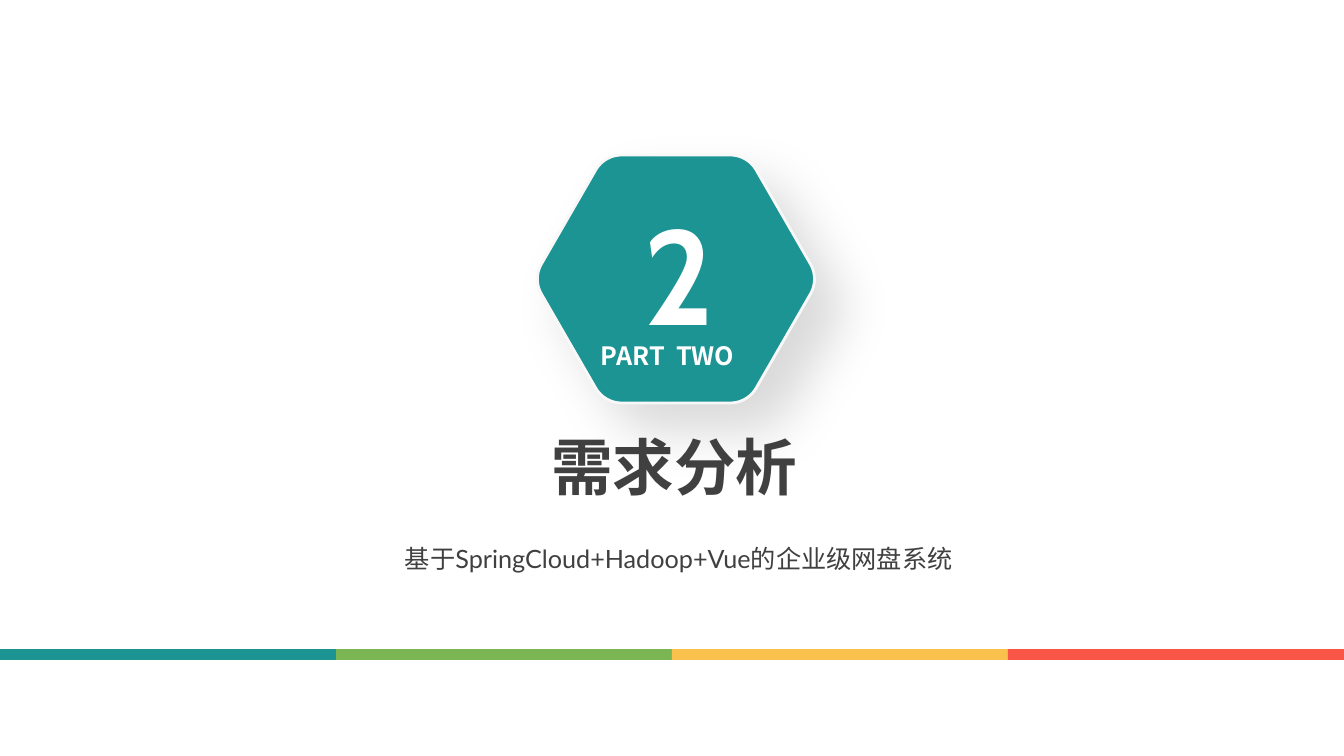
from math import cos, pi, sin

from lxml import etree
from pptx import Presentation
from pptx.dml.color import RGBColor
from pptx.enum.shapes import MSO_SHAPE
from pptx.enum.text import MSO_ANCHOR, MSO_AUTO_SIZE, PP_ALIGN
from pptx.oxml.ns import qn
from pptx.util import Pt

RECTANGLE = MSO_SHAPE.RECTANGLE
TOP = MSO_ANCHOR.TOP
LEFT = PP_ALIGN.LEFT
NO_RESIZE, GROW = MSO_AUTO_SIZE.NONE, MSO_AUTO_SIZE.SHAPE_TO_FIT_TEXT

TEAL = RGBColor(0x1C, 0x94, 0x94)
GREEN = RGBColor(0x7C, 0xB5, 0x54)
YELLOW = RGBColor(0xFA, 0xC1, 0x4D)
RED = RGBColor(0xF9, 0x56, 0x47)
WHITE = RGBColor(0xFF, 0xFF, 0xFF)
EDGE = RGBColor(0xF8, 0xF8, 0xF8)
DARK = RGBColor(0x40, 0x40, 0x40)

SLIDE_WIDTH, SLIDE_HEIGHT = 1344, 756
CJK_FONT = "Noto Sans CJK SC"


def px(length):
    return round(length * 12192000 / SLIDE_WIDTH)


class SectionSlide:
    def __init__(self, presentation):
        self.slide = presentation.slides.add_slide(presentation.slide_layouts[5])
        self.shapes = self.slide.shapes

    def fill_text(self, shape, runs, size, color, font=CJK_FONT, bold=True):
        """Fill a shape with one paragraph of (text, letter spacing) runs."""
        frame = shape.text_frame
        settings = {"word_wrap": False, "auto_size": GROW, "vertical_anchor": TOP}
        for name, value in settings.items():
            setattr(frame, name, value)
        paragraph = frame.paragraphs[0]
        paragraph.alignment = LEFT
        for text, spacing in runs:
            run = paragraph.add_run()
            run.text = text
            formats = {"size": Pt(size), "bold": bold, "name": font}
            for name, value in formats.items():
                setattr(run.font, name, value)
            run.font.color.rgb = color
            properties = run._r.get_or_add_rPr()
            etree.SubElement(properties, qn("a:ea"), typeface=CJK_FONT)
            if spacing:
                properties.set("spc", str(spacing * 100))
        return frame

    def text(self, box, runs, size, color, **formats):
        shape = self.shapes.add_textbox(*map(px, box))
        return self.fill_text(shape, runs, size, color, **formats)

    def title(self, box, text, size, color):
        shape = self.shapes.title
        for name, value in zip(("left", "top", "width", "height"), box):
            setattr(shape, name, px(value))
        self.fill_text(shape, [(text, 0)], size, color)
        self.shapes._spTree.append(shape._element)  # in front of the hexagon

    def bar(self, box, color):
        shape = self.shapes.add_shape(RECTANGLE, *map(px, box))
        shape.shadow.inherit = False
        shape.fill.solid()
        shape.fill.fore_color.rgb = color
        shape.line.fill.background()

    def rounded_hexagon(self, center_x, center_y, half_height, corner, color):
        reach = (half_height - corner) / cos(pi / 6)
        points = []
        for side in range(6):
            angle = side * pi / 3
            for step in range(-10, 11):
                turn = angle + step * pi / 60
                points.append((px(center_x + reach * cos(angle) + corner * cos(turn)),
                               px(center_y + reach * sin(angle) + corner * sin(turn))))
        builder = self.shapes.build_freeform(*points[0])
        builder.add_line_segments(points[1:], close=True)
        shape = builder.convert_to_shape()
        shape.fill.solid()
        shape.fill.fore_color.rgb = color
        shape.line.color.rgb = EDGE
        shape.line.width = Pt(2)
        self.soft_shadow(shape)

    def soft_shadow(self, shape):
        shape.shadow.inherit = False
        effects = shape._element.spPr.find(qn("a:effectLst"))
        shadow = etree.SubElement(effects, qn("a:outerShdw"), blurRad=str(Pt(38)),
                                  dist=str(Pt(27)), dir="2700000", algn="tl",
                                  rotWithShape="0")
        black = etree.SubElement(shadow, qn("a:srgbClr"), val="000000")
        etree.SubElement(black, qn("a:alpha"), val="15000")


def main():
    presentation = Presentation()
    presentation.slide_width = px(SLIDE_WIDTH)
    presentation.slide_height = px(SLIDE_HEIGHT)
    section = SectionSlide(presentation)

    # Numbered hexagon
    section.rounded_hexagon(676, 279, 124, 30, TEAL)
    section.text((634, 186, 93, 173), [("2", 0)], 96, WHITE, font="Cabin")

    # Section title and subtitle
    section.title((541, 424, 269, 85), "需求分析", 44, DARK)
    subtitle = section.text((405, 537, 603, 37),
                            [("基于SpringCloud+Hadoop+Vue的企业级网盘系统", 0)],
                            18, DARK, font="Lato", bold=False)
    subtitle.auto_size = NO_RESIZE
    subtitle.word_wrap = True
    subtitle.paragraphs[0].line_spacing = 1.2
    for side in ("left", "top", "right", "bottom"):
        setattr(subtitle, f"margin_{side}", 0)

    # Part label, with a widened word gap
    section.text((591, 335, 167, 40), [("PART", 0), (" ", 4), ("TWO", 0)], 18, WHITE)

    # Colour band
    colors = (TEAL, GREEN, YELLOW, RED)
    width = SLIDE_WIDTH // len(colors)
    for index, color in enumerate(colors):
        section.bar((index * width, 649, width, 11), color)

    presentation.save("out.pptx")


if __name__ == "__main__":
    main()
